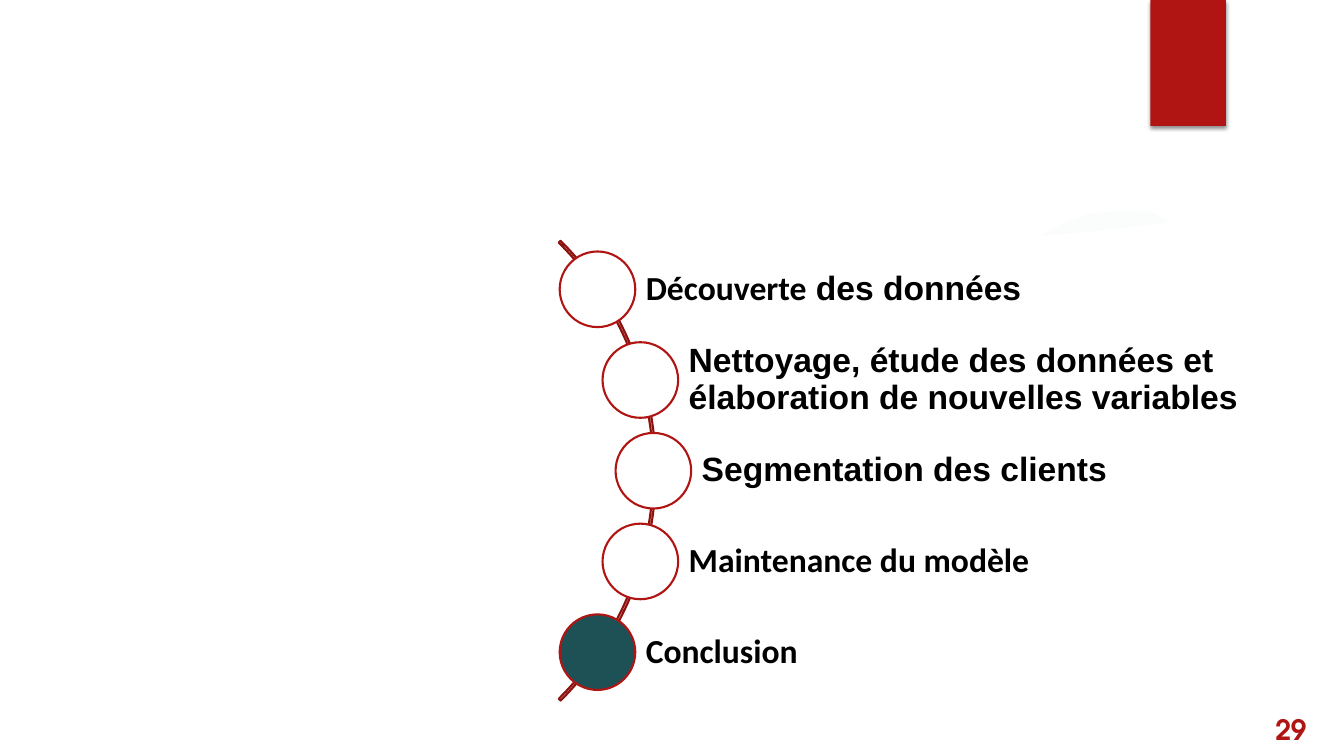
from math import sqrt

from lxml.etree import SubElement
from pptx import Presentation
from pptx.dml.color import RGBColor
from pptx.enum.shapes import MSO_SHAPE
from pptx.enum.text import MSO_ANCHOR, PP_ALIGN
from pptx.oxml.ns import qn
from pptx.util import Inches, Pt

RED = RGBColor(0xB0, 0x15, 0x13)
DARK_RED = RGBColor(0x8D, 0x11, 0x0F)
TEAL = RGBColor(0x1E, 0x51, 0x55)
MIST = RGBColor(0xFB, 0xFD, 0xFD)
BLACK = RGBColor(0, 0, 0)
WHITE = RGBColor(255, 255, 255)

SLIDE_WIDTH, SLIDE_HEIGHT = 13.33, 7.5
ARC_X, ARC_Y = 3.28, 4.67
ARC_SIZE = 6.45
TRACK_RADIUS = 3.2
ROW_STEP = 0.9
MARKER_SIZE = 0.75
LABEL_RIGHT = 13.27

CHAPTERS = [
    ([("Découverte", "Calibri"), (" des données", "Arial")], 0.48, WHITE),
    ([("Nettoyage, étude des données et élaboration de nouvelles variables", "Arial")], 0.71, WHITE),
    ([("Segmentation des clients", "Arial")], 0.48, WHITE),
    ([("Maintenance du modèle", "Calibri")], 0.48, WHITE),
    ([("Conclusion", "Calibri")], 0.6, TEAL),
]


def add_figure(slide, kind, left, top, width, height, fill=None, line=None):
    shape = slide.shapes.add_shape(kind, Inches(left), Inches(top), Inches(width), Inches(height))
    paint(shape, fill, line)
    return shape


def paint(shape, fill, line):
    shape.shadow.inherit = False
    if fill is None:
        shape.fill.background()
    else:
        shape.fill.solid()
        shape.fill.fore_color.rgb = fill
    if line is None:
        shape.line.fill.background()
    else:
        shape.line.color.rgb = line
        shape.line.width = Pt(1.5)


def write_runs(paragraph, runs, size, color):
    for text, font_name in runs:
        run = paragraph.add_run()
        run.text = text
        run.font.name = font_name
        run.font.size = Pt(size)
        run.font.bold = True
        run.font.color.rgb = color


def add_mist(slide):
    builder = slide.shapes.build_freeform(Inches(10.32), Inches(2.34))
    outline = [(10.55, 2.21), (10.8, 2.12), (11.1, 2.09), (11.4, 2.1), (11.62, 2.2), (11, 2.28)]
    builder.add_line_segments([(Inches(x), Inches(y)) for x, y in outline])
    paint(builder.convert_to_shape(), MIST, None)


def add_ribbon(slide):
    ribbon = add_figure(slide, MSO_SHAPE.RECTANGLE, 11.41, 0, 0.75, SLIDE_HEIGHT / 6, RED)
    effects = ribbon._element.spPr.find(qn("a:effectLst"))
    shadow = SubElement(effects, qn("a:outerShdw"), blurRad=str(Pt(3)), dist=str(Pt(2)),
                        dir="5400000", rotWithShape="0")
    color = SubElement(shadow, qn("a:srgbClr"), val="000000")
    SubElement(color, qn("a:alpha"), val="45000")


def add_arc(slide):
    arc = add_figure(slide, MSO_SHAPE.BLOCK_ARC, ARC_X - ARC_SIZE / 2, ARC_Y - ARC_SIZE / 2,
                     ARC_SIZE, ARC_SIZE, line=DARK_RED)
    for index, value in enumerate((189, 27, 0.004)):
        arc.adjustments[index] = value


def add_chapter(slide, offset, runs, height, marker_color):
    center_x = ARC_X + sqrt(TRACK_RADIUS ** 2 - offset ** 2)
    center_y = ARC_Y + offset
    label = add_figure(slide, MSO_SHAPE.RECTANGLE, center_x, center_y - height / 2,
                       LABEL_RIGHT - center_x, height, WHITE, WHITE)
    text_frame = label.text_frame
    text_frame.word_wrap = True
    text_frame.vertical_anchor = MSO_ANCHOR.MIDDLE
    text_frame.margin_left = Inches(0.48)
    text_frame.margin_top = text_frame.margin_right = text_frame.margin_bottom = Inches(0.07)
    paragraph = text_frame.paragraphs[0]
    paragraph.alignment = PP_ALIGN.LEFT
    paragraph.line_spacing = 0.9
    write_runs(paragraph, runs, 24, BLACK)
    add_figure(slide, MSO_SHAPE.OVAL, center_x - MARKER_SIZE / 2, center_y - MARKER_SIZE / 2,
               MARKER_SIZE, MARKER_SIZE, marker_color, RED)


def add_page_number(slide, number):
    box = slide.shapes.add_textbox(Inches(12.55), Inches(7.07), Inches(0.71), Inches(0.34))
    box.text_frame.word_wrap = True
    box.text_frame.vertical_anchor = MSO_ANCHOR.MIDDLE
    write_runs(box.text_frame.paragraphs[0], [(number, "TeX Gyre Adventor")], 20, RED)


def main():
    presentation = Presentation()
    presentation.slide_width = Inches(SLIDE_WIDTH)
    presentation.slide_height = Inches(SLIDE_HEIGHT)
    slide = presentation.slides.add_slide(presentation.slide_layouts[6])
    add_mist(slide)
    add_ribbon(slide)
    add_arc(slide)
    middle = len(CHAPTERS) // 2
    for index, (runs, height, marker_color) in enumerate(CHAPTERS):
        add_chapter(slide, (index - middle) * ROW_STEP, runs, height, marker_color)
    add_page_number(slide, "29")
    presentation.save("out.pptx")


if __name__ == "__main__":
    main()
